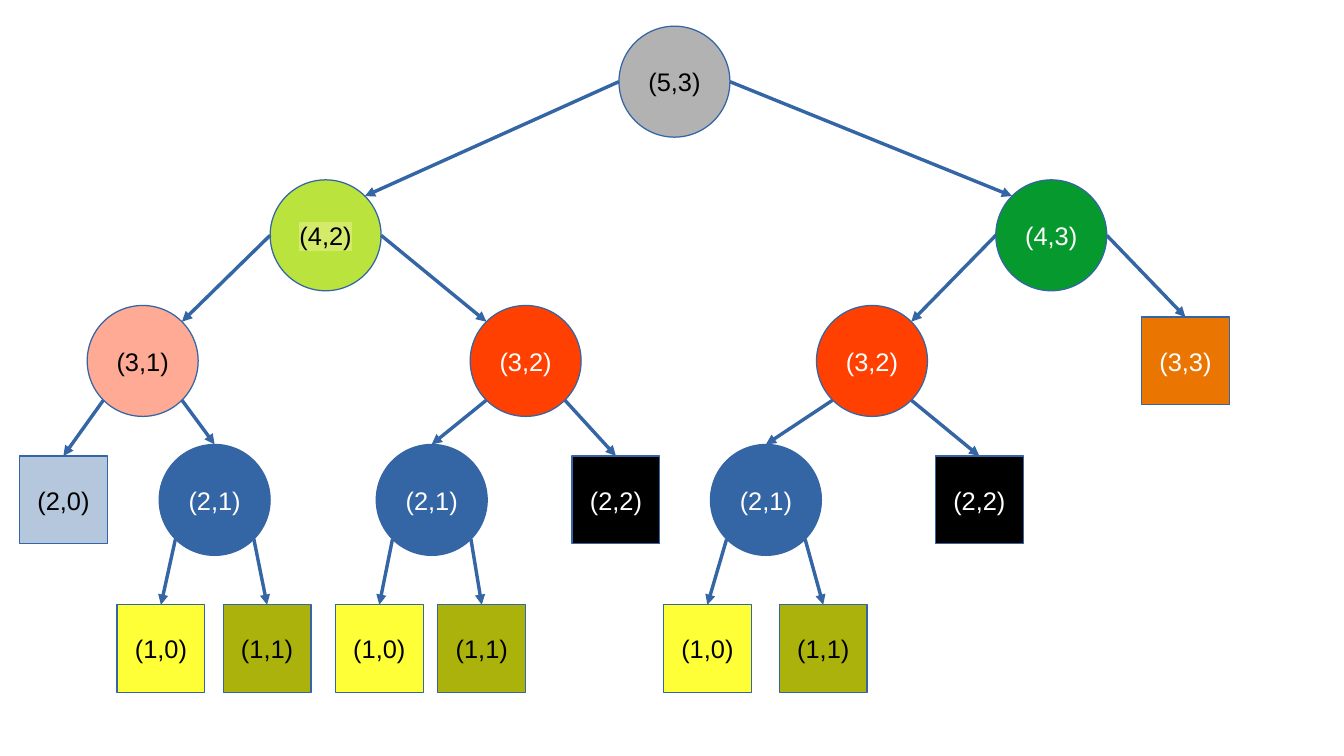
import math

import pptx
import pptx.dml.color
import pptx.enum.shapes
import pptx.enum.text
import pptx.oxml
import pptx.oxml.ns
import pptx.util

Inches = pptx.util.Inches
SHAPES = pptx.enum.shapes.MSO_SHAPE

EDGE = "3465A4"
CIRCLE, SQUARE = 0.91, 0.72
DIAGONAL = CIRCLE / 2 * math.sqrt(0.5)
LEVEL_Y = [0.67, 1.93, 2.96, 4.1, 5.32]

# label: (fill, text colour)
PALETTE = {
    "(5,3)": ("B2B2B2", "000000"),
    "(4,2)": ("BBE33D", "000000"),
    "(4,3)": ("069A2E", "FFFFFF"),
    "(3,1)": ("FFAA95", "000000"),
    "(3,2)": ("FF4000", "FFFFFF"),
    "(3,3)": ("EA7500", "FFFFFF"),
    "(2,0)": ("B4C7DC", "000000"),
    "(2,1)": ("3465A4", "FFFFFF"),
    "(2,2)": ("000000", "FFFFFF"),
    "(1,0)": ("FFFF38", "000000"),
    "(1,1)": ("ACB20C", "000000"),
}
HIGHLIGHTS = {"(4,2)": "D4EA6B"}


def pair(x, left_x, right_x):
    """The (2,1) subtree with its two leaves."""
    return ("(2,1)", x, [("(1,0)", left_x, []), ("(1,1)", right_x, [])])


# Each node: label, centre x, children
TREE = ("(5,3)", 5.53, [
    ("(4,2)", 2.67, [
        ("(3,1)", 1.17, [("(2,0)", 0.52, []), pair(1.76, 1.32, 2.19)]),
        ("(3,2)", 4.31, [pair(3.54, 3.11, 3.95), ("(2,2)", 5.05, [])]),
    ]),
    ("(4,3)", 8.62, [
        ("(3,2)", 7.15, [pair(6.28, 5.8, 6.75), ("(2,2)", 8.03, [])]),
        ("(3,3)", 9.72, []),
    ]),
])


def rgb(value):
    return pptx.dml.color.RGBColor.from_string(value)


def set_edge(line):
    line.color.rgb = rgb(EDGE)
    line.width = pptx.util.Pt(0)


def highlight(run, colour):
    mark = pptx.oxml.parse_xml(
        f'<a:highlight {pptx.oxml.ns.nsdecls("a")}><a:srgbClr val="{colour}"/></a:highlight>')
    run._r.get_or_add_rPr().append(mark)


def draw_node(slide, label, x, y, is_leaf):
    size = SQUARE if is_leaf else CIRCLE
    kind = SHAPES.RECTANGLE if is_leaf else SHAPES.OVAL
    node = slide.shapes.add_shape(kind, Inches(x - size / 2), Inches(y - size / 2),
                                  Inches(size), Inches(size))
    fill, text_colour = PALETTE[label]
    node.shadow.inherit = False
    node.fill.solid()
    node.fill.fore_color.rgb = rgb(fill)
    set_edge(node.line)
    node.text_frame.vertical_anchor = pptx.enum.text.MSO_ANCHOR.MIDDLE
    paragraph = node.text_frame.paragraphs[0]
    paragraph.alignment = pptx.enum.text.PP_ALIGN.CENTER
    paragraph.font.name = "Arial"
    paragraph.font.size = pptx.util.Pt(15)
    paragraph.font.color.rgb = rgb(text_colour)
    run = paragraph.add_run()
    run.text = label
    if label in HIGHLIGHTS:
        highlight(run, HIGHLIGHTS[label])
    return node


def draw_arrow(slide, start, end):
    arrow = slide.shapes.add_connector(pptx.enum.shapes.MSO_CONNECTOR.STRAIGHT,
                                       *(Inches(value) for value in (*start, *end)))
    set_edge(arrow.line)
    namespace = pptx.oxml.ns.nsdecls("a")
    arrow.line._get_or_add_ln().append(
        pptx.oxml.parse_xml(f'<a:tailEnd {namespace} type="triangle"/>'))
    arrow._element.spPr.append(pptx.oxml.parse_xml(f"<a:effectLst {namespace}/>"))
    return arrow


def draw_tree(slide, tree, left, top, level=0):
    """Draw a subtree in the box at left, top and return its root shape."""
    label, centre, children = tree
    x, y = left + centre, top + LEVEL_Y[level]
    root = draw_node(slide, label, x, y, not children)
    for side, child in zip((-1, 1), children):
        child_shape = draw_tree(slide, child, left, top, level + 1)
        child_x, child_y = left + child[1], top + LEVEL_Y[level + 1]
        # Upper levels branch from the sides, lower levels from the diagonals.
        if level < 2:
            start = (x + side * CIRCLE / 2, y)
        else:
            start = (x + side * DIAGONAL, y + DIAGONAL)
        end = (child_x - side * DIAGONAL, child_y - DIAGONAL)
        arrow = draw_arrow(slide, start, end)
        if level >= 2 or not child[2]:
            arrow.end_connect(child_shape, 0)
    return root


def main():
    deck = pptx.Presentation()
    deck.slide_width, deck.slide_height = Inches(11.02), Inches(6.2)
    slide = deck.slides.add_slide(deck.slide_layouts[6])
    draw_tree(slide, TREE, 0, 0)
    deck.save("out.pptx")


if __name__ == "__main__":
    main()
